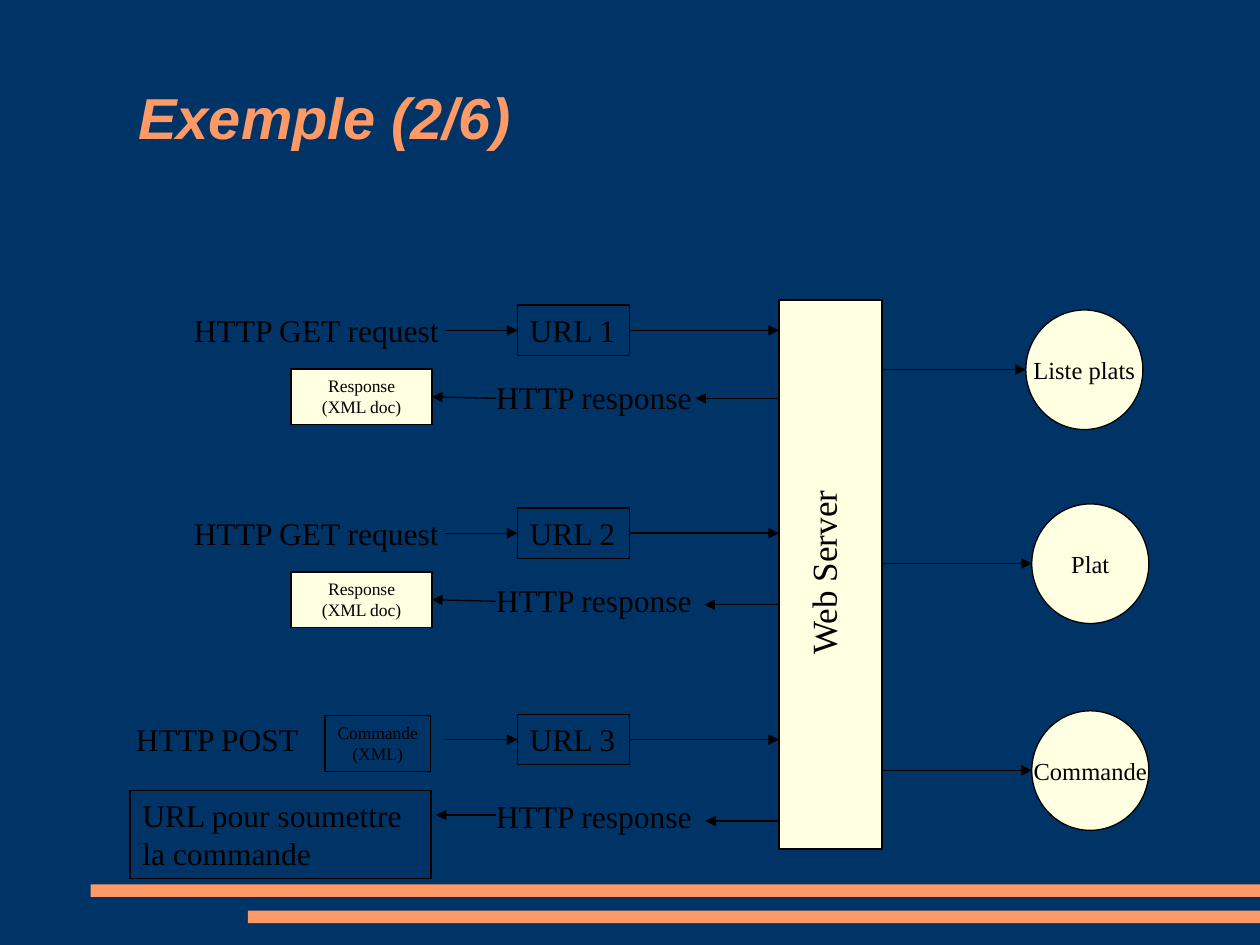
from lxml.etree import SubElement
from pptx import Presentation
from pptx.dml.color import RGBColor
from pptx.enum.shapes import MSO_CONNECTOR as Line, MSO_SHAPE as Shape
from pptx.enum.text import MSO_ANCHOR as Anchor, PP_ALIGN as Align
from pptx.oxml.ns import qn
from pptx.util import Cm, Pt

NAVY, ORANGE, CREAM, BLACK = "003366", "FF9966", "FFFFE1", "000000"
SERIF = {"name": "Times New Roman", "size": Pt(18)}
SMALL = {**SERIF, "size": Pt(10)}
MEDIUM = {**SERIF, "size": Pt(14)}
LARGE = {**SERIF, "size": Pt(20)}
TITLE = {"name": "Arial", "size": Pt(33), "bold": True, "italic": True}


def rgb(value):
    """Return the colour of a hex string."""
    return RGBColor.from_string(value)


def write(sp, text, font, color=BLACK, align=Align.LEFT, anchor=Anchor.TOP, wrap=False):
    """Write one paragraph per line of text into a shape."""
    tf = sp.text_frame
    tf.word_wrap, tf.vertical_anchor = wrap, anchor
    for i, line in enumerate(text.split("\n")):
        p = tf.add_paragraph() if i else tf.paragraphs[0]
        p.alignment = align
        r = p.add_run()
        r.text = line
        r.font.color.rgb = rgb(color)
        for name, value in font.items():
            setattr(r.font, name, value)


def add_label(s, box, text, font=SERIF, **layout):
    """Add a text box."""
    sp = s.shapes.add_textbox(*map(Cm, box))
    write(sp, text, font, **layout)
    return sp


def add_box(s, kind, box, fill=None, line=BLACK, width=0.75):
    """Add a preset shape with an optional fill and outline."""
    sp = s.shapes.add_shape(kind, *map(Cm, box))
    sp.shadow.inherit = False
    if fill:
        sp.fill.solid()
        sp.fill.fore_color.rgb = rgb(fill)
    else:
        sp.fill.background()
    if line:
        sp.line.color.rgb = rgb(line)
        sp.line.width = Pt(width)
    else:
        sp.line.fill.background()
    return sp


def add_arrow(s, x1, x2, y, width=0.75, begin=None, end=None):
    """Add a level arrow, joined to the right of begin and the (shape, side) end."""
    cx = s.shapes.add_connector(Line.STRAIGHT, Cm(x1), Cm(y), Cm(x2), Cm(y))
    if begin is not None:
        cx.begin_connect(begin, 3)
    if end is not None:
        cx.end_connect(*end)
    cx.line.color.rgb = rgb(BLACK)
    cx.line.width = Pt(width)
    SubElement(cx.line._get_or_add_ln(), qn("a:tailEnd"), type="triangle")
    SubElement(cx._element.spPr, qn("a:effectLst"))


def add_request(s, number, top):
    """Add a URL box with its arrows from the request and to the server."""
    url = add_box(s, Shape.RECTANGLE, (10.43, top, 2.26, 1.02))
    write(url, f"URL {number}", SERIF)
    middle = top + 0.51
    add_arrow(s, 8.98, 10.43, middle, end=(url, 1))
    add_arrow(s, 12.69, 15.7, middle, width=1, begin=url)


def add_response(s, top, server_tip, server_y, client_y, target=None):
    """Add a response label with the arrows on both of its sides."""
    add_label(s, (9.75, top, 4.47, 1.02), "HTTP response")
    add_arrow(s, 15.7, server_tip, server_y)
    add_arrow(s, 10, 8.79, client_y, end=(target, 3) if target is not None else None)


def add_get(s, number, top):
    """Add a GET request line and return the response document below it."""
    add_label(s, (3.66, top, 5.49, 1.02), "HTTP GET request")
    add_request(s, number, top)
    doc = add_box(s, Shape.RECTANGLE, (5.87, top + 1.29, 2.84, 1.12), CREAM, width=1)
    write(doc, "Response\n(XML doc)", SMALL, align=Align.CENTER)
    return doc


def add_post(s, top):
    """Add the POST request line and the box for its answer."""
    add_label(s, (2.49, top, 3.81, 1.02), "HTTP POST")
    order = add_box(s, Shape.RECTANGLE, (6.55, top + 0.03, 2.13, 1.12))
    write(order, "Commande\n(XML)", SMALL, align=Align.CENTER)
    add_request(s, 3, top)
    answer = add_box(s, Shape.RECTANGLE, (2.62, 15.93, 6.07, 1.78))
    write(answer, "URL pour soumettre la commande", SERIF, wrap=True)


def add_server(s):
    """Add the server block with its upright label."""
    add_box(s, Shape.RECTANGLE, (15.7, 6.05, 2.08, 11.07), CREAM, width=1)
    sp = add_label(s, (14.7, 10.98, 3.8, 1.12), "Web Server", LARGE, align=Align.CENTER)
    sp.rotation = 270


def add_resource(s, name, left, top):
    """Add a resource circle and the arrow from the server."""
    circle = add_box(s, Shape.OVAL, (left, top, 2.36, 2.41), CREAM)
    write(circle, name, MEDIUM, align=Align.CENTER, anchor=Anchor.MIDDLE)
    add_arrow(s, 17.78, left, top + 1.2)


def main():
    """Build the slide and save it."""
    prs = Presentation()
    prs.slide_width, prs.slide_height = Cm(25.4), Cm(19.05)
    s = prs.slides.add_slide(prs.slide_layouts[6])
    s.background.fill.solid()
    s.background.fill.fore_color.rgb = rgb(NAVY)
    for left, top in ((1.83, 17.83), (5, 18.36)):
        bar = add_box(s, Shape.ROUNDED_RECTANGLE, (left, top, 25.4 - left, 0.25), ORANGE, None)
        bar.adjustments[0] = 0.02
    add_label(s, (2.54, 0.76, 21.59, 3.18), "Exemple (2/6)", TITLE,
              color=ORANGE, anchor=Anchor.MIDDLE, wrap=True)
    add_server(s)
    menu = add_get(s, 1, 6.15)
    dish = add_get(s, 2, 10.24)
    add_post(s, 14.4)
    add_response(s, 7.49, 14.02, 8.03, 8.03, menu)
    add_response(s, 11.58, 14.2, 12.19, 12.12, dish)
    add_response(s, 15.95, 14.22, 16.55, 16.43)
    for name, left, top in (("Liste plats", 20.68, 6.25), ("Plat", 20.8, 10.16),
                            ("Commande", 20.8, 14.33)):
        add_resource(s, name, left, top)
    prs.save("out.pptx")


if __name__ == "__main__":
    main()
